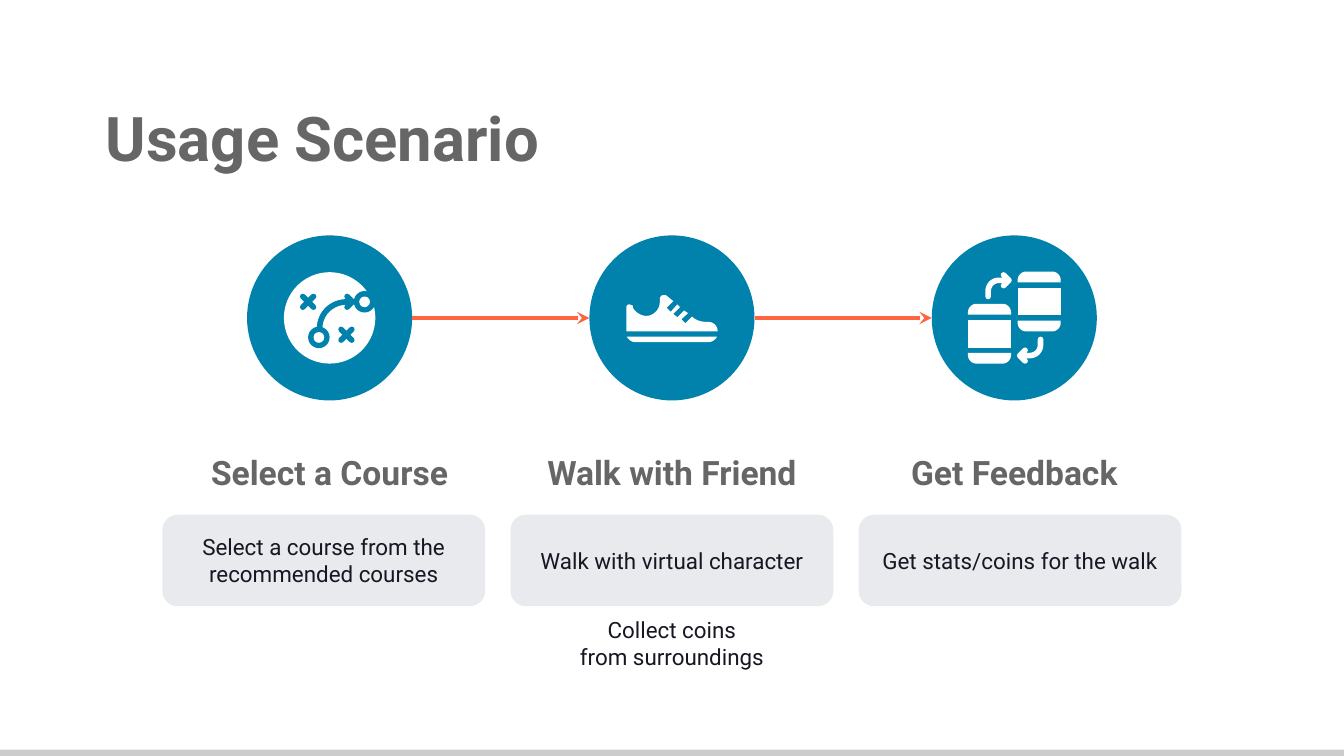
from dataclasses import dataclass
from typing import Optional

from lxml import etree
from pptx import Presentation
from pptx.dml.color import RGBColor
from pptx.enum.shapes import MSO_CONNECTOR, MSO_SHAPE
from pptx.enum.text import MSO_ANCHOR, PP_ALIGN
from pptx.oxml.ns import qn
from pptx.util import Cm, Pt

OVAL, RECTANGLE, ROUNDED = MSO_SHAPE.OVAL, MSO_SHAPE.RECTANGLE, MSO_SHAPE.ROUNDED_RECTANGLE
STRAIGHT = MSO_CONNECTOR.STRAIGHT
LEFT, CENTER = PP_ALIGN.LEFT, PP_ALIGN.CENTER
TOP, MIDDLE = MSO_ANCHOR.TOP, MSO_ANCHOR.MIDDLE

COLORS = {"blue": "0082AC", "orange": "FF653F", "white": "FFFFFF", "card": "E8EAED",
          "heading": "666666", "body": "171723", "footer": "CCCCCC"}
FONT = "Roboto"

SLIDE_WIDTH, SLIDE_HEIGHT = 25.4, 14.29
CENTER_X = SLIDE_WIDTH / 2
DISC_STEP, DISC_Y, DISC_SIZE = 6.47, 6.01, 3.12
CARD_STEP, CARD_TOP, CARD_WIDTH, CARD_HEIGHT = 6.58, 9.73, 6.1, 1.73
HEADING_TOP, HEADING_WIDTH, HEADING_HEIGHT = 8.36, 6.58, 1.14
ICON_UNIT = 0.0254  # cm; icons are drawn around their disc's centre
FINE = 100  # freeform grid steps per icon unit
STROKE = 3


@dataclass
class Step:
    heading: str
    text: str


@dataclass
class TextStyle:
    size: float
    color: str
    bold: bool = False
    align: PP_ALIGN = CENTER
    anchor: MSO_ANCHOR = MIDDLE
    spacing: Optional[float] = None
    inset: float = 0.25


STEPS = [
    Step("Select a Course", "Select a course from the recommended courses"),
    Step("Walk with Friend", "Walk with virtual character"),
    Step("Get Feedback", "Get stats/coins for the walk"),
]
TITLE = TextStyle(33, "heading", True, LEFT, TOP, 1.29)
HEADING = TextStyle(18, "heading", True)
BODY = TextStyle(12, "body")
CARD_BODY = TextStyle(12, "body", inset=0.1)

# Outlines: a pair is a straight step, six numbers are a cubic curve.
COURSE_ROUTE = [(-7.5, 7), (-7, -4, 2, -12, 13, -12)]
COURSE_HEAD = [(13, -16), (17, -12), (13, -8)]
SHOE_UPPER = [
    (-6, -17), (-8, -17, -9, -15.5, -9, -14), (-9, -12), (-9, -6, -14, -1.5, -19, -1.5),
    (-23, -1.5, -27, -4, -29, -7.5), (-29, -9), (-30, -9.5, -31, -10, -32, -10),
    (-33, -10, -34, -9, -34, -7.5), (-34, 10), (34, 10), (34, 6, 31, 3, 27, 3),
    (26, 3), (22, 3, 18, 2, 15, -1), (10, 4), (7, 1), (12, -3.5), (9, -5.5),
    (4, -0.5), (1, -3), (6, -8), (4, -10), (-1, -4.5), (-4, -7.5), (1, -12.5),
    (-4, -16.5), (-4.5, -17, -5, -17, -6, -17)]
SHOE_SOLE = [(-33.5, 14), (-32, 16.5, -30, 18, -27, 18), (27, 18), (30, 18, 32, 16.5, 33.5, 14)]
SCREEN_CAP = [(0, 8), (0, 6), (0, 3, 3, 0, 6, 0), (26, 0), (29, 0, 32, 3, 32, 6), (32, 8)]
TURN = [(-19.5, -16), (-19.5, -20), (-19.5, -24.5, -16, -28, -11.5, -28), (-4.5, -28)]
TURN_HEAD = [(-8, -32), (-4, -28), (-8, -24)]


def color(name: str) -> RGBColor:
    return RGBColor.from_string(COLORS[name])


def add_filled(slide, kind, left: float, top: float, width: float, height: float, fill: str):
    shape = slide.shapes.add_shape(kind, Cm(left), Cm(top), Cm(width), Cm(height))
    shape.shadow.inherit = False
    shape.fill.solid()
    shape.fill.fore_color.rgb = color(fill)
    shape.line.fill.background()
    return shape


def write(shape, text: str, style: TextStyle) -> None:
    frame = shape.text_frame
    frame.word_wrap = True
    frame.vertical_anchor = style.anchor
    frame.margin_left = frame.margin_right = Cm(style.inset)
    frame.margin_top = frame.margin_bottom = Cm(style.inset)
    paragraph = frame.paragraphs[0]
    paragraph.alignment = style.align
    paragraph.line_spacing = style.spacing
    for index, line in enumerate(text.split("\n")):
        if index:
            paragraph.add_line_break()
        run = paragraph.add_run()
        run.text = line
        run.font.name, run.font.size, run.font.bold = FONT, Pt(style.size), style.bold
        run.font.color.rgb = color(style.color)


def add_text(slide, left: float, top: float, width: float, height: float,
             text: str, style: TextStyle) -> None:
    write(slide.shapes.add_textbox(Cm(left), Cm(top), Cm(width), Cm(height)), text, style)


def add_arrow(slide, start_x: float, end_x: float, y: float) -> None:
    arrow = slide.shapes.add_connector(STRAIGHT, Cm(start_x), Cm(y), Cm(end_x), Cm(y))
    arrow.line.color.rgb = color("orange")
    arrow.line.width = Pt(2.25)
    etree.SubElement(arrow.line._get_or_add_ln(), qn("a:tailEnd"), type="stealth")
    etree.SubElement(arrow._element.spPr, qn("a:effectLst"))


def flatten(outline: list, samples: int = 10) -> list:
    """Turn the cubic curves of an outline into short straight steps."""
    points = []
    for step in outline:
        if len(step) == 2:
            points.append(step)
            continue
        corners = (points[-1], step[0:2], step[2:4], step[4:6])
        for index in range(1, samples + 1):
            t = index / samples
            weights = ((1 - t) ** 3, 3 * t * (1 - t) ** 2, 3 * t * t * (1 - t), t ** 3)
            points.append(tuple(sum(w * corner[axis] for w, corner in zip(weights, corners))
                                for axis in (0, 1)))
    return points


def add_outline(slide, center_x: float, points: list, name: str, stroked: bool = False) -> None:
    """Draw icon points as a filled area or as a round-ended stroke."""
    fine = [(x * FINE, y * FINE) for x, y in points]
    builder = slide.shapes.build_freeform(*fine[0], scale=Cm(ICON_UNIT) / FINE)
    builder.add_line_segments(fine[1:], close=not stroked)
    shape = builder.convert_to_shape(Cm(center_x), Cm(DISC_Y))
    shape.shadow.inherit = False
    if stroked:
        shape.fill.background()
        shape.line.color.rgb = color(name)
        shape.line.width = Pt(STROKE)
        line = shape.line._get_or_add_ln()
        line.set("cap", "rnd")
        etree.SubElement(line, qn("a:round"))
    else:
        shape.fill.solid()
        shape.fill.fore_color.rgb = color(name)
        shape.line.fill.background()


def add_dot(slide, center_x: float, x: float, y: float, radius: float, fill: str) -> None:
    size = 2 * radius * ICON_UNIT
    add_filled(slide, OVAL, center_x + (x - radius) * ICON_UNIT,
               DISC_Y + (y - radius) * ICON_UNIT, size, size, fill)


def draw_course(slide, center_x: float) -> None:
    add_dot(slide, center_x, 0, 0, 34, "white")
    for x, y in ((-8, 14.5), (26, -12)):
        add_dot(slide, center_x, x, y, 8, "blue")
        add_dot(slide, center_x, x, y, 4, "white")
    for x, y in ((-16, -12), (12.5, 12.5)):
        for slope in (-1, 1):
            leg = [(x - 4, y - 4 * slope), (x + 4, y + 4 * slope)]
            add_outline(slide, center_x, leg, "blue", stroked=True)
    add_outline(slide, center_x, flatten(COURSE_ROUTE), "blue", stroked=True)
    add_outline(slide, center_x, COURSE_HEAD, "blue")
    add_outline(slide, center_x, COURSE_HEAD, "blue", stroked=True)


def draw_shoe(slide, center_x: float) -> None:
    for outline in (SHOE_UPPER, SHOE_SOLE):
        add_outline(slide, center_x, flatten(outline), "white")


def draw_feedback(slide, center_x: float) -> None:
    cap = flatten(SCREEN_CAP)
    foot = [(x, 44.5 - y) for x, y in cap]
    body = [(0, 12), (32, 12), (32, 32.5), (0, 32.5)]
    for left, top in ((-34.5, -10.5), (2.5, -34.5)):
        for part in (cap, body, foot):
            add_outline(slide, center_x, [(left + x, top + y) for x, y in part], "white")
    for sign in (1, -1):
        for outline in (TURN, TURN_HEAD):
            points = [(sign * x, sign * y) for x, y in flatten(outline)]
            add_outline(slide, center_x, points, "white", stroked=True)


def main() -> None:
    presentation = Presentation()
    presentation.slide_width, presentation.slide_height = Cm(SLIDE_WIDTH), Cm(SLIDE_HEIGHT)
    slide = presentation.slides.add_slide(presentation.slide_layouts[6])
    add_filled(slide, RECTANGLE, 0, 14.17, SLIDE_WIDTH, 0.12, "footer")
    add_text(slide, 1.75, 1.24, 17.2, 1.6, "Usage Scenario", TITLE)

    radius = DISC_SIZE / 2
    for index, (step, draw_icon) in enumerate(zip(STEPS, (draw_course, draw_shoe, draw_feedback))):
        disc_x = CENTER_X + (index - 1) * DISC_STEP
        card_x = CENTER_X + (index - 1) * CARD_STEP
        add_filled(slide, OVAL, disc_x - radius, DISC_Y - radius, DISC_SIZE, DISC_SIZE, "blue")
        draw_icon(slide, disc_x)
        if index:
            add_arrow(slide, disc_x - DISC_STEP + radius, disc_x - radius, DISC_Y)
        add_text(slide, disc_x - HEADING_WIDTH / 2, HEADING_TOP, HEADING_WIDTH, HEADING_HEIGHT,
                 step.heading, HEADING)
        card = add_filled(slide, ROUNDED, card_x - CARD_WIDTH / 2, CARD_TOP,
                          CARD_WIDTH, CARD_HEIGHT, "card")
        write(card, step.text, CARD_BODY)
    add_text(slide, CENTER_X - 3.19, 11.3, 6.38, 1.7, "Collect coins\nfrom surroundings", BODY)
    presentation.save("out.pptx")


if __name__ == "__main__":
    main()
